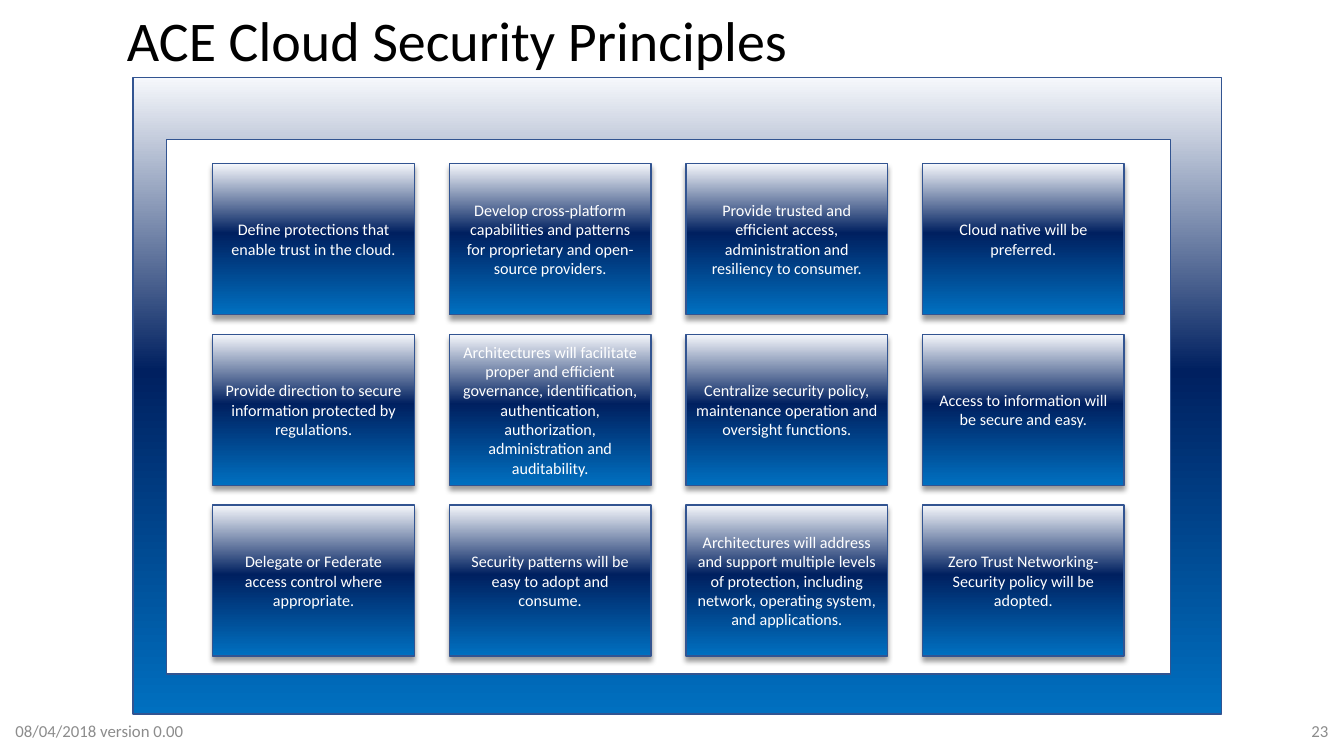
from dataclasses import dataclass

from lxml import etree
from pptx import Presentation
from pptx.dml.color import RGBColor
from pptx.enum.shapes import MSO_SHAPE as SHAPE
from pptx.enum.text import MSO_ANCHOR as ANCHOR, MSO_AUTO_SIZE as AUTO, PP_ALIGN as ALIGN
from pptx.oxml import parse_xml
from pptx.oxml.ns import nsdecls, qn
from pptx.util import Pt


@dataclass(frozen=True)
class Theme:
    font: str = "Calibri"
    title_color: str = "000000"
    tile_text: str = "FFFFFF"
    footer_color: str = "8C8C8C"
    border: str = "325491"
    shadow: str = "000000"
    gradient: tuple = ((0, "F6F8FC"), (46, "002060"), (100, "0070C0"))
    title_size: float = 40
    tile_size: float = 11.5
    footer_size: float = 12


THEME = Theme()

PRINCIPLES = [
    ["Define protections that enable trust in the cloud.",
     "Develop cross-platform capabilities and patterns for proprietary and open-source providers.",
     "Provide trusted and efficient access, administration and resiliency to consumer.",
     "Cloud native will be preferred."],
    ["Provide direction to secure information protected by regulations.",
     "Architectures will facilitate proper and efficient governance, identification, "
     "authentication, authorization, administration and auditability.",
     "Centralize security policy, maintenance operation and oversight functions.",
     "Access to information will be secure and easy."],
    ["Delegate or Federate access control where appropriate.",
     "Security patterns will be easy to adopt and consume.",
     "Architectures will address and support multiple levels of protection, including "
     "network, operating system, and applications.",
     "Zero Trust Networking-Security policy will be adopted."],
]


def write(shape, text, size, color, align, anchor):
    tf = shape.text_frame
    tf.text = text
    tf.word_wrap = True
    tf.vertical_anchor = anchor
    p = tf.paragraphs[0]
    p.alignment = align
    font = p.runs[0].font
    font.name, font.size = THEME.font, Pt(size)
    font.color.rgb = RGBColor.from_string(color)


def paint(shape):
    """Apply the shared gradient and border, without a shadow."""
    shape.fill.gradient()
    shape.fill.gradient_angle = 270  # counter-clockwise: light at the top
    stops = shape.element.spPr.find(".//" + qn("a:gsLst"))
    for old in list(stops):
        stops.remove(old)
    for pos, color in THEME.gradient:
        stops.append(parse_xml(f'<a:gs {nsdecls("a")} pos="{pos * 1000}">'
                               f'<a:srgbClr val="{color}"/></a:gs>'))
    shape.line.color.rgb = RGBColor.from_string(THEME.border)
    shape.line.width = Pt(1)
    shape.shadow.inherit = False


def cast_shadow(shape):
    effects = shape.element.spPr.find(qn("a:effectLst"))
    outer = etree.SubElement(effects, qn("a:outerShdw"), blurRad=str(Pt(4)),
                             dist=str(Pt(3)), dir="5400000", rotWithShape="0")
    color = etree.SubElement(outer, qn("a:srgbClr"), val=THEME.shadow)
    etree.SubElement(color, qn("a:alpha"), val="40000")


def add_title(s, x, y, w, h):
    title = s.shapes.title
    title.left, title.top, title.width, title.height = Pt(x), Pt(y), Pt(w), Pt(h)
    write(title, "ACE Cloud Security Principles", THEME.title_size,
          THEME.title_color, ALIGN.LEFT, ANCHOR.TOP)
    title.text_frame.auto_size = AUTO.SHAPE_TO_FIT_TEXT


def add_frame(s, x, y, w, h):
    """Rectangle with a window; the window runs the opposite way round."""
    left, top, right, bottom = x + 24, y + 44, x + w - 36.5, y + h - 28.5
    window = [(left, top), (left, bottom), (right, bottom), (right, top)]
    outline = [(x, y), (x + w, y), (x + w, y + h), (x, y + h)]
    fb = None
    for ring in (window, outline):
        points = [(Pt(px), Pt(py)) for px, py in ring]
        if fb is None:
            fb = s.shapes.build_freeform(*points[0])
        else:
            fb.move_to(*points[0])
        fb.add_line_segments(points[1:], close=True)
    paint(fb.convert_to_shape())


def add_tiles(s, x, y, w, h):
    tile_w, tile_h = 144, 108
    step_x = (w - tile_w) / (len(PRINCIPLES[0]) - 1)
    step_y = (h - tile_h) / (len(PRINCIPLES) - 1)
    for row, texts in enumerate(PRINCIPLES):
        for col, text in enumerate(texts):
            tile = s.shapes.add_shape(SHAPE.RECTANGLE, Pt(x + col * step_x),
                                      Pt(y + row * step_y), Pt(tile_w), Pt(tile_h))
            paint(tile)
            cast_shadow(tile)
            write(tile, text, THEME.tile_size, THEME.tile_text, ALIGN.CENTER, ANCHOR.MIDDLE)


def add_footer(s, x, y, w, h):
    box_w = 216
    for left, text, align in ((x, "08/04/2018 version 0.00", ALIGN.LEFT),
                              (x + w - box_w, "23", ALIGN.RIGHT)):
        box = s.shapes.add_textbox(Pt(left), Pt(y), Pt(box_w), Pt(h))
        write(box, text, THEME.footer_size, THEME.footer_color, align, ANCHOR.MIDDLE)


def main():
    prs = Presentation()
    prs.slide_width, prs.slide_height = Pt(960), Pt(540)
    s = prs.slides.add_slide(prs.slide_layouts[5])  # title only
    add_footer(s, 4, 507.5, 952, 29)
    add_title(s, 83.5, 0, 564.5, 55.5)
    add_frame(s, 95, 55.5, 777.5, 454.5)
    add_tiles(s, 152, 116.75, 651, 352)
    prs.save("out.pptx")


if __name__ == "__main__":
    main()
